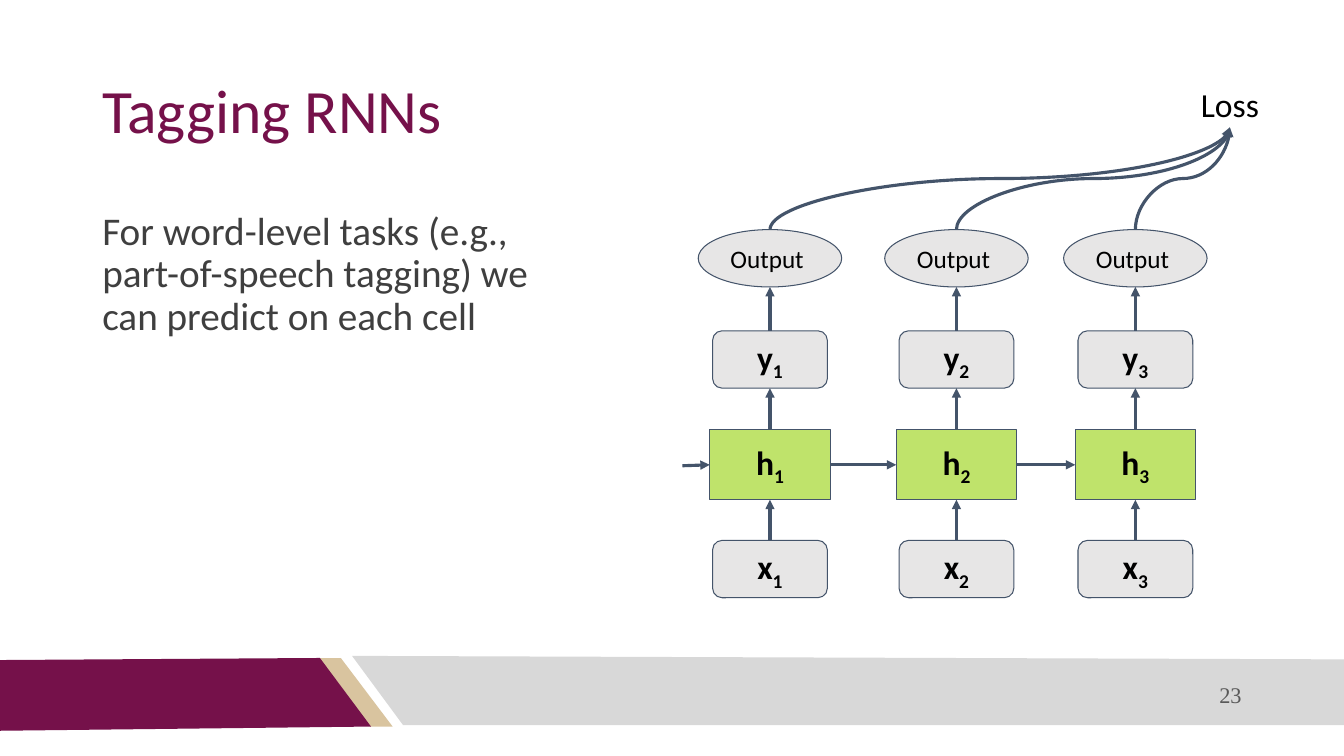
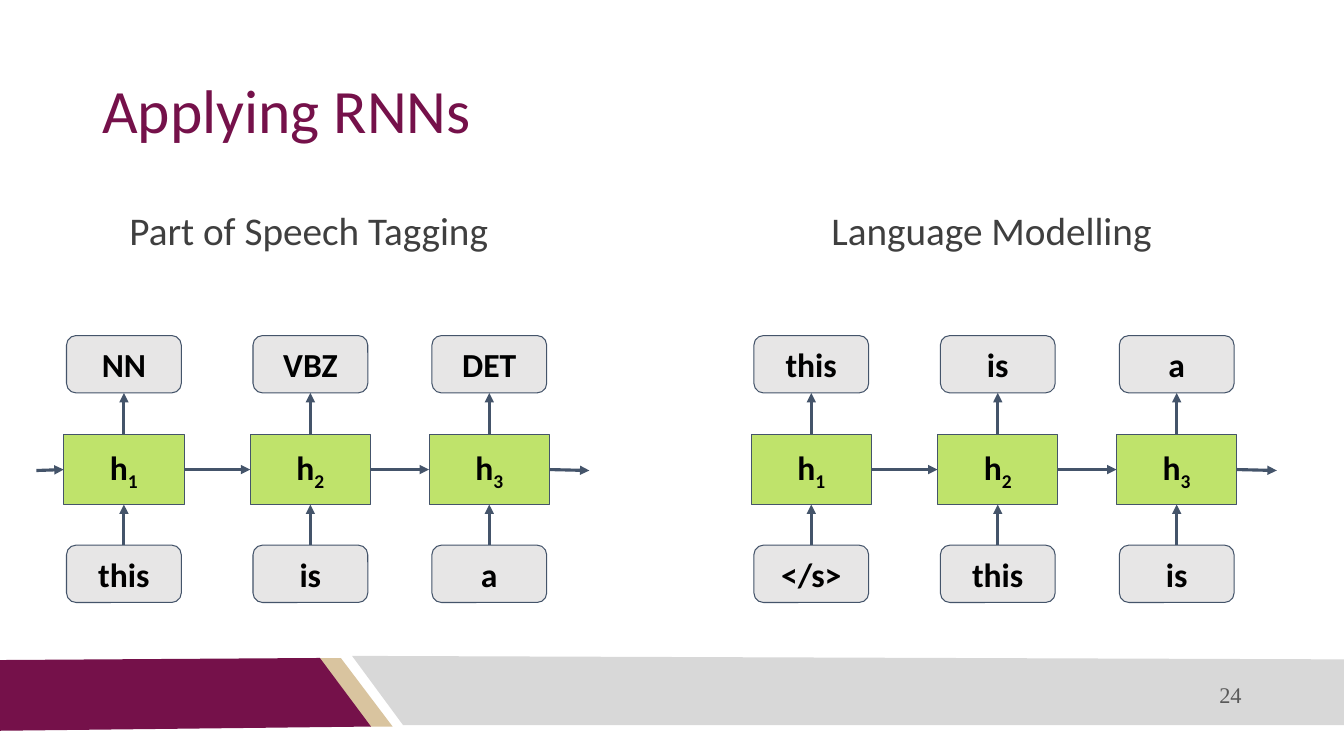
from dataclasses import dataclass

from lxml.etree import SubElement
from pptx import Presentation
from pptx.dml.color import RGBColor
from pptx.enum.shapes import MSO_CONNECTOR, MSO_SHAPE
from pptx.enum.text import MSO_ANCHOR, PP_ALIGN
from pptx.oxml.ns import qn
from pptx.util import Pt


@dataclass(frozen=True)
class Theme:
    maroon: str = "75114A"
    tan: str = "D9C49F"
    band_gray: str = "D8D8D8"
    green: str = "B0DD46"
    node_gray: str = "E7E6E6"
    line: str = "44546A"
    body: str = "3F3F3F"
    number: str = "595959"
    black: str = "000000"
    font: str = "Calibri"
    number_font: str = "Times New Roman"
    title_size: float = 44
    body_size: float = 28
    node_size: float = 24
    output_size: float = 18
    number_size: float = 16
    outline: float = 0.75
    arrow: float = 2.25
    inset: float = 7.2


THEME = Theme()
SLIDE_WIDTH, SLIDE_HEIGHT = 960, 540
TOP, LEFT, BOTTOM, RIGHT = range(4)

FOOTER_BANDS = (
    (THEME.tan, ((227.5, 470), (243.5, 470), (280.5, 519), (264.5, 519))),
    (THEME.maroon, ((0, 471.5), (228.5, 470), (265, 519), (0, 522))),
    (THEME.band_gray, ((251.5, 468.5), (960, 471), (960, 518), (288, 518))),
)

# Network geometry, vertical offsets measured from the middle of the cells
COLUMN_OFFSETS = (0, 133.2, 261)
CELL_SIZE = (86, 50)
NODE_SIZE = (82, 41)
OUTPUT_SIZE = (102.5, 41)
INPUT_OFFSET, LABEL_OFFSET, OUTPUT_OFFSET = 74.5, -75.2, -147.5
STUB_DROP = 0.7


def color(code):
    return RGBColor.from_string(code)


def write_text(shape, text, *, size, ink=THEME.black, font=THEME.font, bold=False,
               subscript="", align=PP_ALIGN.LEFT, anchor=MSO_ANCHOR.TOP, spacing=None):
    frame = shape.text_frame
    frame.word_wrap = True
    frame.vertical_anchor = anchor
    frame.margin_left = frame.margin_right = Pt(THEME.inset)
    frame.margin_top = frame.margin_bottom = Pt(THEME.inset)
    paragraph = frame.paragraphs[0]
    paragraph.alignment = align
    if spacing:
        paragraph.line_spacing = spacing
    for part in filter(None, (text, subscript)):
        run = paragraph.add_run()
        run.text = part
        run.font.name = font
        run.font.size = Pt(size)
        run.font.bold = bold
        run.font.color.rgb = color(ink)
    if subscript:
        run.font._element.set("baseline", "-25000")


def add_text(slide, text, left, top, width, height, **text_format):
    box = slide.shapes.add_textbox(Pt(left), Pt(top), Pt(width), Pt(height))
    write_text(box, text, **text_format)


def add_node(slide, kind, center, size, text, *, fill=THEME.node_gray, opacity=None,
             text_size=THEME.node_size, bold=True, subscript=""):
    width, height = size
    shape = slide.shapes.add_shape(kind, Pt(center[0] - width / 2), Pt(center[1] - height / 2),
                                   Pt(width), Pt(height))
    shape.shadow.inherit = False
    shape.fill.solid()
    shape.fill.fore_color.rgb = color(fill)
    if opacity:
        rgb = shape._element.spPr.find(qn("a:solidFill")).find(qn("a:srgbClr"))
        SubElement(rgb, qn("a:alpha")).set("val", str(opacity * 1000))
    shape.line.color.rgb = color(THEME.line)
    shape.line.width = Pt(THEME.outline)
    write_text(shape, text, size=text_size, bold=bold, subscript=subscript,
               align=PP_ALIGN.CENTER, anchor=MSO_ANCHOR.MIDDLE)
    return shape


def add_arrow(slide, start, end, kind=MSO_CONNECTOR.STRAIGHT):
    arrow = slide.shapes.add_connector(kind, *(Pt(value) for value in (*start, *end)))
    arrow.line.color.rgb = color(THEME.line)
    arrow.line.width = Pt(THEME.arrow)
    properties = arrow._element.spPr
    SubElement(properties.find(qn("a:ln")), qn("a:tailEnd")).set("type", "triangle")
    SubElement(properties, qn("a:effectLst"))
    return arrow


def link(slide, source, source_side, target, target_side):
    """Glue an arrow to one side of each of two shapes."""
    arrow = add_arrow(slide, (0, 0), (0, 0))
    arrow.begin_connect(source, source_side)
    arrow.end_connect(target, target_side)


def add_rising_curve(slide, start, end):
    """Draw an S curve that leaves and arrives vertically: a curve turned by 270 degrees."""
    middle_x, middle_y = (start[0] + end[0]) / 2, (start[1] + end[1]) / 2
    half_run, half_rise = (end[0] - start[0]) / 2, (start[1] - end[1]) / 2
    curve = add_arrow(slide, (middle_x - half_rise, middle_y - half_run),
                      (middle_x + half_rise, middle_y + half_run), MSO_CONNECTOR.CURVE)
    curve._element.spPr.find(qn("a:xfrm")).set("rot", str(270 * 60000))


def add_network(slide, left_center, middle, inputs, labels, *, subscripts=False,
                stub_in=False, stub_out=False):
    """Draw the recurrent cells with their inputs and labels; return the label shapes."""
    cells, label_nodes = [], []
    centers = [left_center + offset for offset in COLUMN_OFFSETS]
    for index, (x, word, label) in enumerate(zip(centers, inputs, labels), start=1):
        subscript = str(index) if subscripts else ""
        cell = add_node(slide, MSO_SHAPE.RECTANGLE, (x, middle), CELL_SIZE, "h",
                        fill=THEME.green, opacity=80, subscript=str(index))
        input_node, label_node = (
            add_node(slide, MSO_SHAPE.ROUNDED_RECTANGLE, (x, middle + offset), NODE_SIZE,
                     text, subscript=subscript)
            for text, offset in ((word, INPUT_OFFSET), (label, LABEL_OFFSET)))
        link(slide, input_node, TOP, cell, BOTTOM)
        link(slide, cell, TOP, label_node, BOTTOM)
        cells.append(cell)
        label_nodes.append(label_node)
    for source, target in zip(cells, cells[1:]):
        link(slide, source, RIGHT, target, LEFT)
    half_cell = CELL_SIZE[0] / 2
    if stub_in:
        edge = centers[0] - half_cell
        add_arrow(slide, (edge - 19.5, middle + STUB_DROP), (edge, middle)).end_connect(
            cells[0], LEFT)
    if stub_out:
        edge = centers[-1] + half_cell
        add_arrow(slide, (edge, middle), (edge + 28.5, middle + STUB_DROP)).begin_connect(
            cells[-1], RIGHT)
    return label_nodes


def add_loss(slide, left_center, middle, label_nodes):
    """Draw an output over each label and lead all outputs to the loss."""
    loss_point = (878.5, 91)
    add_text(slide, "Loss", 838, 53, 81, 38, size=THEME.node_size, align=PP_ALIGN.CENTER)
    output_middle = middle + OUTPUT_OFFSET
    half_output = OUTPUT_SIZE[1] / 2
    label_top = middle + LABEL_OFFSET - NODE_SIZE[1] / 2
    for offset, label_node in zip(COLUMN_OFFSETS, label_nodes):
        x = left_center + offset
        add_node(slide, MSO_SHAPE.OVAL, (x, output_middle), OUTPUT_SIZE, "Output ",
                 text_size=THEME.output_size, bold=False)
        add_arrow(slide, (x, label_top), (x, output_middle + half_output)).begin_connect(
            label_node, TOP)
        add_rising_curve(slide, (x, output_middle - half_output), loss_point)


def add_body(slide, text, left, width, height, align=PP_ALIGN.LEFT):
    add_text(slide, text, left, 144, width, height, size=THEME.body_size, ink=THEME.body,
             align=align, spacing=0.9)


def add_base_slide(presentation, title, number):
    """Add a blank slide with the shared bands, title and page number."""
    slide = presentation.slides.add_slide(presentation.slide_layouts[6])
    for fill, (first, *others) in FOOTER_BANDS:
        builder = slide.shapes.build_freeform(Pt(first[0]), Pt(first[1]))
        builder.add_line_segments([(Pt(x), Pt(y)) for x, y in others], close=True)
        band = builder.convert_to_shape()
        band.shadow.inherit = False
        band.fill.solid()
        band.fill.fore_color.rgb = color(fill)
        band.line.fill.background()
    add_text(slide, title, 66, 28.8, 828, 104.4, size=THEME.title_size, ink=THEME.maroon,
             anchor=MSO_ANCHOR.MIDDLE, spacing=0.9)
    add_text(slide, str(number), 570, 481.7, 324, 28.8, size=THEME.number_size,
             ink=THEME.number, font=THEME.number_font, align=PP_ALIGN.RIGHT,
             anchor=MSO_ANCHOR.MIDDLE)
    return slide


def add_tagging_slide(presentation):
    slide = add_base_slide(presentation, "Tagging RNNs", 23)
    add_body(slide, "For word-level tasks (e.g., part-of-speech tagging) we can predict "
                    "on each cell", 66, 322.5, 300)
    left_center, middle = 550, 332
    label_nodes = add_network(slide, left_center, middle, "xxx", "yyy",
                              subscripts=True, stub_in=True)
    add_loss(slide, left_center, middle, label_nodes)


def add_applying_slide(presentation):
    slide = add_base_slide(presentation, "Applying RNNs", 24)
    middle = 335.4
    add_body(slide, "Part of Speech Tagging", 66, 309, 70, PP_ALIGN.CENTER)
    add_network(slide, 88.5, middle, ("this", "is", "a"), ("NN", "VBZ", "DET"),
                stub_in=True, stub_out=True)
    add_body(slide, "Language Modelling", 553.7, 309, 70, PP_ALIGN.CENTER)
    add_network(slide, 579.5, middle, ("</s>", "this", "is"), ("this", "is", "a"),
                stub_out=True)


def main():
    presentation = Presentation()
    presentation.slide_width = Pt(SLIDE_WIDTH)
    presentation.slide_height = Pt(SLIDE_HEIGHT)
    add_tagging_slide(presentation)
    add_applying_slide(presentation)
    presentation.save("out.pptx")


if __name__ == "__main__":
    main()
